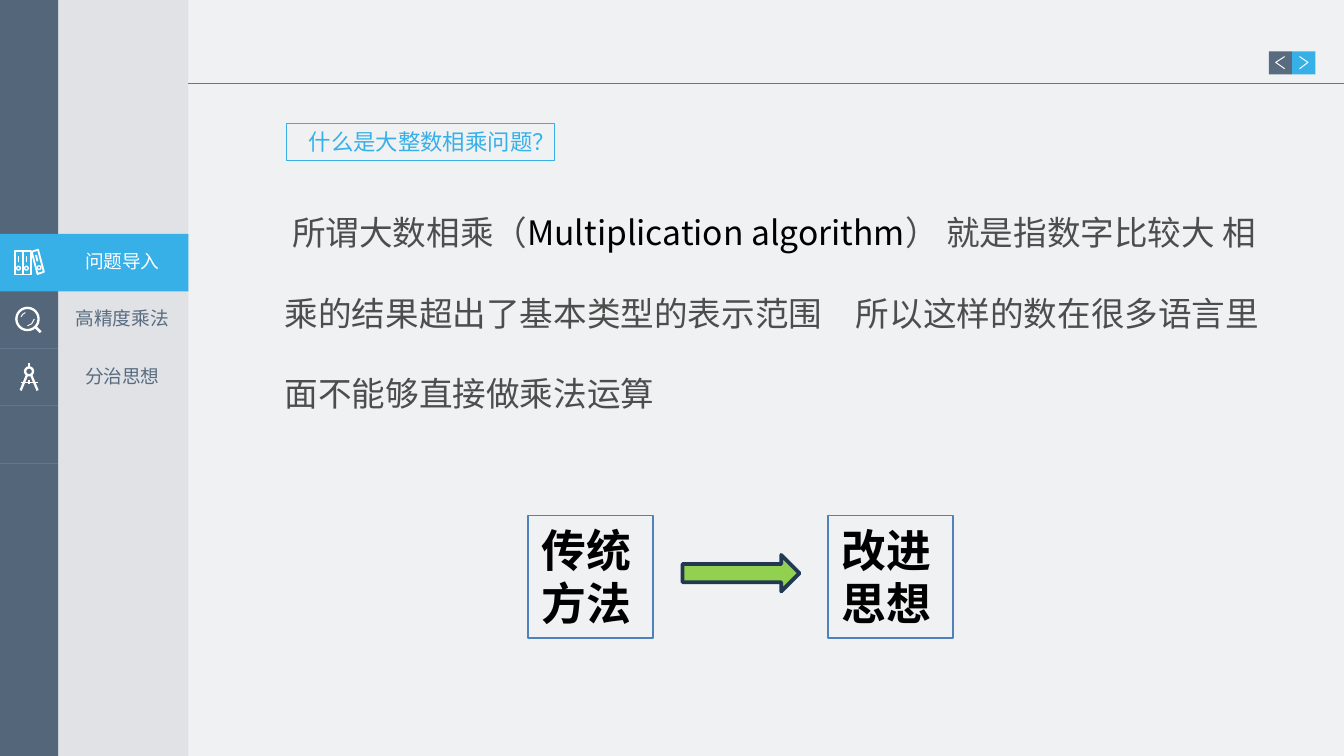
from lxml.etree import SubElement as Sub
from pptx import Presentation
from pptx.dml.color import RGBColor as RGB
from pptx.enum.shapes import MSO_CONNECTOR as Conn, MSO_SHAPE as Kind
from pptx.enum.text import MSO_ANCHOR as Anchor, PP_ALIGN as Align
from pptx.oxml.ns import qn
from pptx.util import Cm, Pt

PAPER = RGB(0xF0, 0xF1, 0xF3)
SLATE = RGB(0x54, 0x66, 0x7A)
STEEL = RGB(0x58, 0x6B, 0x7F)
RULE = RGB(0x62, 0x76, 0x8C)
SKY = RGB(0x37, 0xB0, 0xE8)
BLUE = RGB(0x4F, 0x81, 0xBD)
GREEN = RGB(0x92, 0xD0, 0x50)
NAVY = RGB(0x23, 0x39, 0x53)
GREY = RGB(0x4D, 0x4D, 0x4D)
BLACK = RGB(0, 0, 0)
WHITE = RGB(255, 255, 255)

WIDE, HIGH = 25.4, 14.29
RAIL, SIDE = 1.1, 3.56
TOP, STEP = 4.4, 1.09


class Deck:
    label = "Arial Narrow"
    body = "Noto Sans CJK SC"
    bold = "Calibri"

    def __init__(self):
        self.file = Presentation()
        self.file.slide_width, self.file.slide_height = Cm(WIDE), Cm(HIGH)
        self.slide = self.file.slides.add_slide(self.file.slide_layouts[6])
        self.slide.background.fill.solid()
        self.slide.background.fill.fore_color.rgb = PAPER
        self.shapes = self.slide.shapes

    def paint(self, shape, fill=None, ink=None, width=0.5):
        shape.shadow.inherit = False
        if fill is None:
            shape.fill.background()
        else:
            shape.fill.solid()
            shape.fill.fore_color.rgb = fill
        if ink is None:
            shape.line.fill.background()
        else:
            shape.line.color.rgb = ink
            shape.line.width = Pt(width)
        return shape

    def shape(self, kind, x, y, w, h, **look):
        item = self.shapes.add_shape(kind, Cm(x), Cm(y), Cm(w), Cm(h))
        return self.paint(item, **look)

    def rect(self, x, y, w, h, **look):
        return self.shape(Kind.RECTANGLE, x, y, w, h, **look)

    def ring(self, x, y, size, width):
        return self.shape(Kind.OVAL, x - size / 2, y - size / 2, size, size,
                          ink=WHITE, width=width)

    def fade(self, shape, part):
        color = shape.fill._xPr.find(qn("a:solidFill"))[0]
        Sub(color, qn("a:alpha")).set("val", str(part * 1000))

    def line(self, x1, y1, x2, y2, ink=RULE, width=0.5):
        item = self.shapes.add_connector(Conn.STRAIGHT, Cm(x1), Cm(y1), Cm(x2), Cm(y2))
        item.line.color.rgb = ink
        item.line.width = Pt(width)
        Sub(item._element.spPr, qn("a:effectLst"))

    def outline(self, points, close=False, width=0.5):
        spots = [(Cm(x), Cm(y)) for x, y in points]
        maker = self.shapes.build_freeform(*spots[0])
        maker.add_line_segments(spots[1:], close=close)
        self.paint(maker.convert_to_shape(), ink=WHITE, width=width)

    def box(self, x, y, w, h):
        return self.shapes.add_textbox(Cm(x), Cm(y), Cm(w), Cm(h))

    def text(self, shape, words, size, face, color, align=Align.CENTER,
             anchor=Anchor.TOP, bold=False, wrap=True):
        frame = shape.text_frame
        frame.word_wrap = wrap
        frame.vertical_anchor = anchor
        para = frame.paragraphs[0]
        para.text = words
        para.alignment = align
        font = para.font
        font.size, font.name, font.bold = Pt(size), face, bold
        font.color.rgb = color

    def prose(self, shape, parts, size):
        shape.text_frame.word_wrap = True
        para = shape.text_frame.paragraphs[0]
        para.line_spacing = 2.0
        para.font.size, para.font.name = Pt(size), self.body
        for words, color in parts:
            run = para.add_run()
            run.text = words
            run.font.size, run.font.name = Pt(size), self.body
            run.font.color.rgb = color

    def books(self):
        for x in (0.28, 0.43):
            self.rect(x, 4.74, 0.15, 0.45, ink=WHITE, width=1)
            self.line(x + 0.07, 4.84, x + 0.07, 4.96, WHITE, 1)
            self.ring(x + 0.07, 5.07, 0.07, 0.75)
        self.outline([(0.6, 4.76), (0.72, 4.72), (0.83, 5.14), (0.71, 5.18)], True, 1)
        self.line(0.68, 4.82, 0.71, 4.94, WHITE, 1)
        self.ring(0.74, 5.06, 0.07, 0.75)

    def lens(self):
        self.ring(0.52, 6.03, 0.42, 1.25)
        self.line(0.68, 6.19, 0.77, 6.28, WHITE, 1.5)
        self.outline([(0.4, 5.99), (0.43, 5.94), (0.48, 5.91)])
        self.outline([(0.52, 6.16), (0.6, 6.12), (0.65, 6.03)])

    def compass(self):
        mid = 0.55
        self.line(mid, 6.86, mid, 6.94, WHITE, 1.25)
        self.ring(mid, 7.02, 0.15, 1.25)
        for side in (-1, 1):
            self.line(mid + side * 0.04, 7.09, mid + side * 0.16, 7.38, WHITE, 1.25)
        self.line(0.39, 7.23, 0.72, 7.23, WHITE, 1)
        self.line(mid, 7.19, mid, 7.26, WHITE, 1.25)

    def save(self):
        self.file.save("out.pptx")


def main():
    deck = Deck()
    deck.fade(deck.rect(0, 0, SIDE, HIGH, fill=SLATE), 10)
    deck.line(SIDE, 1.57, WIDE, 1.57)
    deck.rect(0, 0, RAIL, HIGH, fill=SLATE)
    for row in range(1, 5):
        deck.line(RAIL, TOP + row * STEP, 0, TOP + row * STEP)

    for x, fill, tip, back in ((23.98, STEEL, 0.13, 0.3), (24.42, SKY, 0.3, 0.14)):
        deck.rect(x, 0.97, 0.44, 0.44, fill=fill)
        deck.outline([(x + back, 1.07), (x + tip, 1.18), (x + back, 1.3)])

    deck.rect(0, TOP + 0.02, SIDE, STEP, fill=SKY)
    deck.books()
    deck.lens()
    deck.compass()

    for row, name in enumerate(("问题导入", "高精度乘法", "分治思想")):
        wide = len(name) * 0.35 + 0.52
        tab = deck.box(2.31 - wide / 2, 4.59 + row * STEP, wide, 0.69)
        deck.text(tab, name, 10, deck.label, STEEL if row else WHITE, wrap=False)

    title = deck.rect(5.41, 2.34, 5.08, 0.69, ink=SKY)
    deck.text(title, "什么是大整数相乘问题？", 12, deck.label, SKY, anchor=Anchor.MIDDLE)

    deck.prose(deck.box(5.13, 3.12, 19, 4.65), (
        (" 所谓大数相乘（", GREY),
        ("Multiplication algorithm", BLACK),
        ("） 就是指数字比较大 相乘的结果超出了基本类型的表示范围　"
         "所以这样的数在很多语言里面不能够直接做乘法运算", GREY),
    ), 18)

    for x, words in ((9.98, "传统方法"), (15.65, "改进思想")):
        card = deck.rect(x, 9.75, 2.36, 2.31, ink=BLUE, width=0.75)
        deck.text(card, words, 24, deck.bold, BLACK, align=Align.LEFT, bold=True)
    deck.shape(Kind.RIGHT_ARROW, 12.9, 10.49, 2.21, 0.69, fill=GREEN, ink=NAVY, width=2)
    deck.save()


if __name__ == "__main__":
    main()
